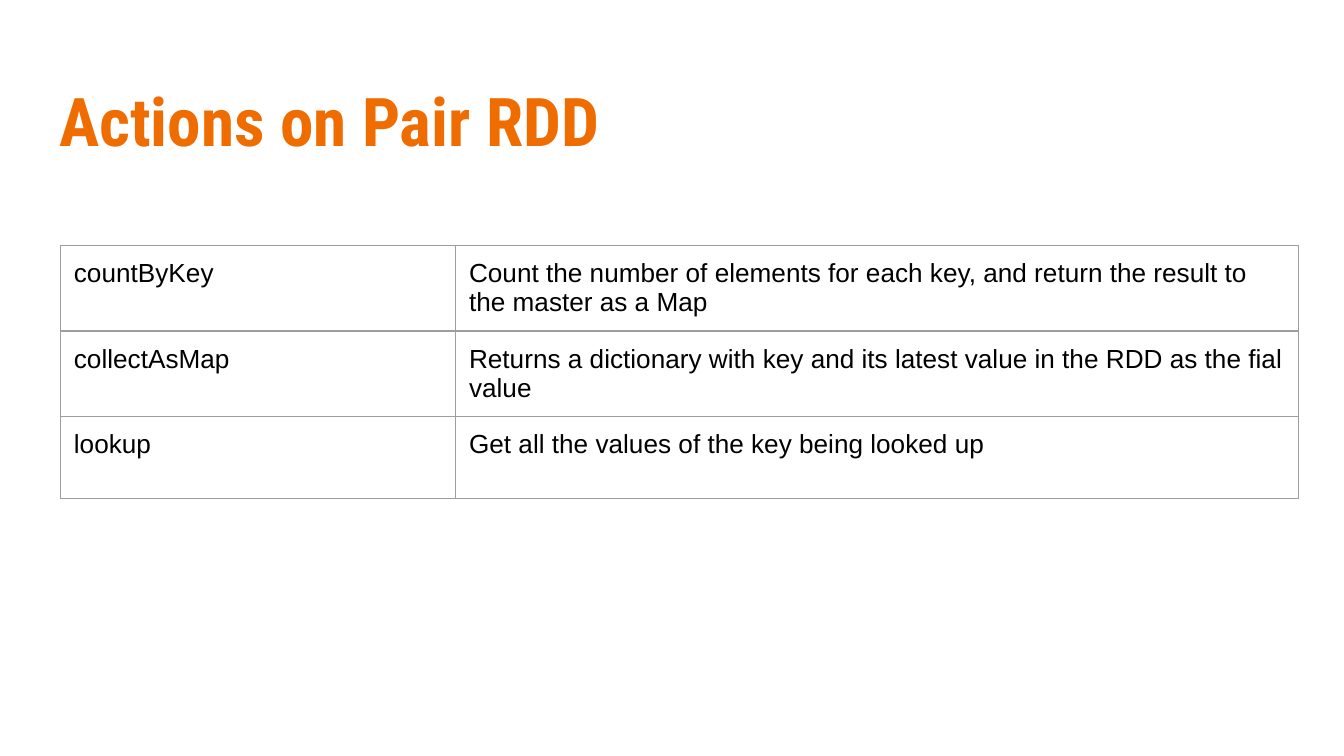
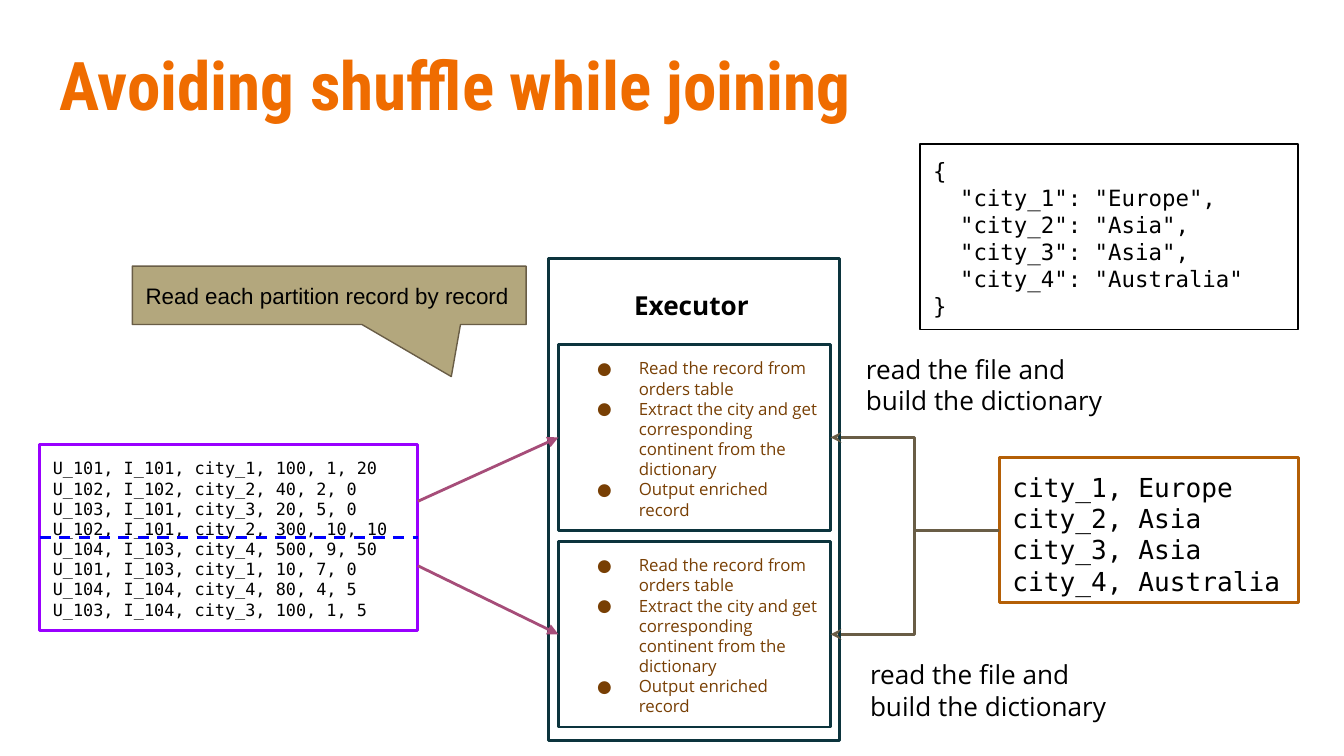
import pptx
import pptx.util
import pptx.dml.color
import pptx.enum.dml
import pptx.enum.shapes
import pptx.enum.text
import pptx.oxml
import pptx.oxml.ns

SCALE = 4572
INSET = 20
COLORS = {
    "black": "000000", "title": "EF6C00", "grid": "9E9E9E", "orders": "9900FF",
    "divider": "0000FF", "executor": "0C343D", "task": "783F04", "partition": "A64D79",
    "callout": "B3A77D", "olive": "695D46", "cities": "B45F06",
}
SANS, MONO, BODY, HEADING = "Arial", "DejaVu Sans Mono", "Open Sans", "Roboto Condensed"
SHAPES = pptx.enum.shapes.MSO_SHAPE
CONNECTORS = pptx.enum.shapes.MSO_CONNECTOR
ANCHORS = pptx.enum.text.MSO_ANCHOR
ALIGNS = pptx.enum.text.PP_ALIGN
LEFT, RIGHT = 1, 3

ACTIONS = [
    ("countByKey", "Count the number of elements for each key, and return the result to the master as a Map"),
    ("collectAsMap", "Returns a dictionary with key and its latest value in the RDD as the fial value"),
    ("lookup", "Get all the values of the key being looked up"),
]
ORDERS = """U_101, I_101, city_1, 100, 1, 20
U_102, I_102, city_2, 40, 2, 0
U_103, I_101, city_3, 20, 5, 0
U_102, I_101, city_2, 300, 10, 10
U_104, I_103, city_4, 500, 9, 50
U_101, I_103, city_1, 10, 7, 0
U_104, I_104, city_4, 80, 4, 5
U_103, I_104, city_3, 100, 1, 5"""
CITIES = """city_1, Europe
city_2, Asia
city_3, Asia
city_4, Australia"""
DICTIONARY = """{
  "city_1": "Europe",
  "city_2": "Asia",
  "city_3": "Asia",
  "city_4": "Australia"
}"""
TASKS = """Read the record from orders table
Extract the city and get corresponding continent from the dictionary
Output enriched record"""


def px(length):
    return pptx.util.Emu(length * SCALE)


def color(name):
    return pptx.dml.color.RGBColor.from_string(COLORS[name])


def append_xml(parent, tag, attributes="", content=""):
    namespace = pptx.oxml.ns.nsdecls("a")
    parent.append(pptx.oxml.parse_xml(f"<a:{tag} {namespace} {attributes}>{content}</a:{tag}>"))


def add_bullet(para, font, size, ink):
    properties = para._p.get_or_add_pPr()
    properties.set("marL", str(px(100)))
    properties.set("indent", str(px(-62)))
    append_xml(properties, "buClr", content=f'<a:srgbClr val="{COLORS[ink]}"/>')
    append_xml(properties, "buSzPts", f'val="{size * 100}"')
    append_xml(properties, "buFont", f'typeface="{font}"')
    append_xml(properties, "buChar", 'char="●"')


def set_insets(holder, anchor=ANCHORS.TOP):
    holder.vertical_anchor = anchor
    holder.margin_left = holder.margin_right = px(INSET)
    holder.margin_top = holder.margin_bottom = px(INSET)


def write(frame, text, font=SANS, size=14, ink="black", bold=False, align=ALIGNS.LEFT,
          leading=None, bullets=False):
    for index, line in enumerate(text.split("\n")):
        para = frame.paragraphs[0] if index == 0 else frame.add_paragraph()
        if bullets:
            add_bullet(para, font, size, ink)
        para.alignment = align
        if leading:
            para.line_spacing = pptx.util.Pt(size * leading)
        span = para.add_run()
        span.text = line
        span.font.name = font
        span.font.size = pptx.util.Pt(size)
        span.font.bold = bold
        span.font.color.rgb = color(ink)


def fill_box(box, text, anchor=ANCHORS.TOP, **style):
    frame = box.text_frame
    frame.word_wrap = True
    frame.auto_size = pptx.enum.text.MSO_AUTO_SIZE.NONE
    set_insets(frame, anchor)
    write(frame, text, **style)


def add_page(deck, title, top, height):
    page = deck.slides.add_slide(deck.slide_layouts[5])
    box = page.shapes.title
    box.left, box.top, box.width, box.height = map(px, (68, top, 1864, height))
    fill_box(box, title, font=HEADING, size=36, ink="title", bold=True)
    return page


def add_box(page, place, line, weight=1.5, fill=None, kind=SHAPES.RECTANGLE, text=None, **style):
    box = page.shapes.add_shape(kind, *map(px, place))
    box.shadow.inherit = False
    box.line.color.rgb = color(line)
    box.line.width = pptx.util.Pt(weight)
    if fill:
        box.fill.solid()
        box.fill.fore_color.rgb = color(fill)
    else:
        box.fill.background()
    if text:
        fill_box(box, text, **style)
    return box


def add_label(page, place, text, **style):
    box = page.shapes.add_textbox(*map(px, place))
    fill_box(box, text, font=BODY, leading=1.2, **style)


def add_line(page, line, start, end, kind=CONNECTORS.STRAIGHT, head=None, dash=None):
    connector = page.shapes.add_connector(kind, 0, 0, 0, 0)
    if isinstance(start[0], int):
        connector.begin_x, connector.begin_y = map(px, start)
    else:
        connector.begin_connect(*start)
    connector.end_connect(*end)
    connector.line.color.rgb = color(line)
    connector.line.width = pptx.util.Pt(1.5)
    if dash:
        connector.line.dash_style = dash
    properties = connector._element.spPr
    if head:
        append_xml(properties.find(pptx.oxml.ns.qn("a:ln")), "tailEnd", f'type="{head}"')
    append_xml(properties, "effectLst")


def add_borders(cell):
    properties = cell._tc.get_or_add_tcPr()
    paint = f'<a:solidFill><a:srgbClr val="{COLORS["grid"]}"/></a:solidFill>'
    for side in "LRTB":
        append_xml(properties, f"ln{side}", f'w="{pptx.util.Pt(0.75)}"', paint)


def add_grid(page, left, top, widths, row_height, rows):
    frame = page.shapes.add_table(len(rows), len(widths), px(left), px(top),
                                  px(sum(widths)), px(row_height * len(rows)))
    table = frame.table
    table.first_row = table.horz_banding = False
    for column, width in zip(table.columns, widths):
        column.width = px(width)
    for row, texts in zip(table.rows, rows):
        for cell, text in zip(row.cells, texts):
            add_borders(cell)
            cell.fill.background()
            set_insets(cell)
            write(cell.text_frame, text)


def build_actions(deck):
    page = add_page(deck, "Actions on Pair RDD", 98, 154)
    add_grid(page, 90, 365, (588, 1254), 122, ACTIONS)


def build_joining(deck):
    page = add_page(deck, "Avoiding shuffle while joining", 44, 138)
    code = {"font": MONO, "leading": 1.2}

    orders = add_box(page, (59, 662, 563, 277), "orders", text=ORDERS, size=9, **code)
    add_line(page, "divider", (orders, LEFT), (orders, RIGHT),
             dash=pptx.enum.dml.MSO_LINE.DASH)
    callout = add_box(page, (197, 396, 586, 87), "olive", 0.75, "callout",
                      SHAPES.RECTANGULAR_CALLOUT, "Read each partition record by record",
                      size=12, anchor=ANCHORS.MIDDLE)
    callout.adjustments[0], callout.adjustments[1] = 0.31, 1.39

    add_box(page, (816, 385, 434, 717), "executor")
    add_label(page, (847, 411, 364, 58), "Executor", bold=True, align=ALIGNS.CENTER)
    cities = add_box(page, (1487, 681, 446, 216), "cities", text=CITIES, size=14, **code)
    add_box(page, (1369, 214, 563, 276), "black", 0.75, text=DICTIONARY, size=12, **code)

    for task_top, partition_y in ((513, 746), (806, 842)):
        task = add_box(page, (831, task_top, 405, 276), "executor", text=TASKS, font=BODY,
                       size=9, ink="task", leading=1.2, bullets=True)
        add_line(page, "partition", (622, partition_y), (task, LEFT), head="triangle")
        add_line(page, "olive", (cities, LEFT), (task, RIGHT), CONNECTORS.ELBOW, "stealth")
    for left, top in ((1269, 506), (1275, 960)):
        add_label(page, (left, top, 400, 124), "read the file and build the dictionary")


def main():
    deck = pptx.Presentation()
    deck.slide_width, deck.slide_height = px(2000), px(1125)
    build_actions(deck)
    build_joining(deck)
    deck.save("out.pptx")


if __name__ == "__main__":
    main()
